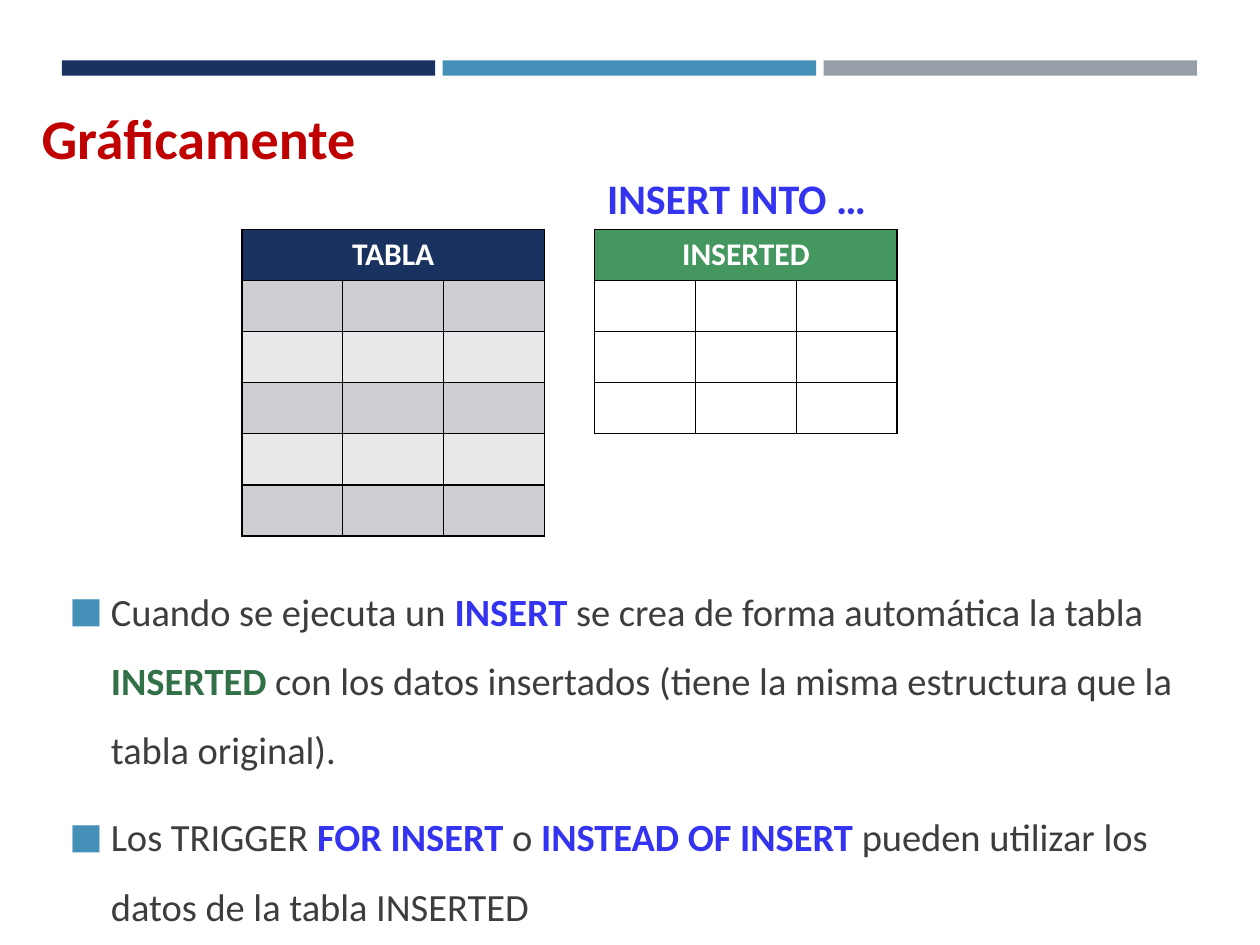
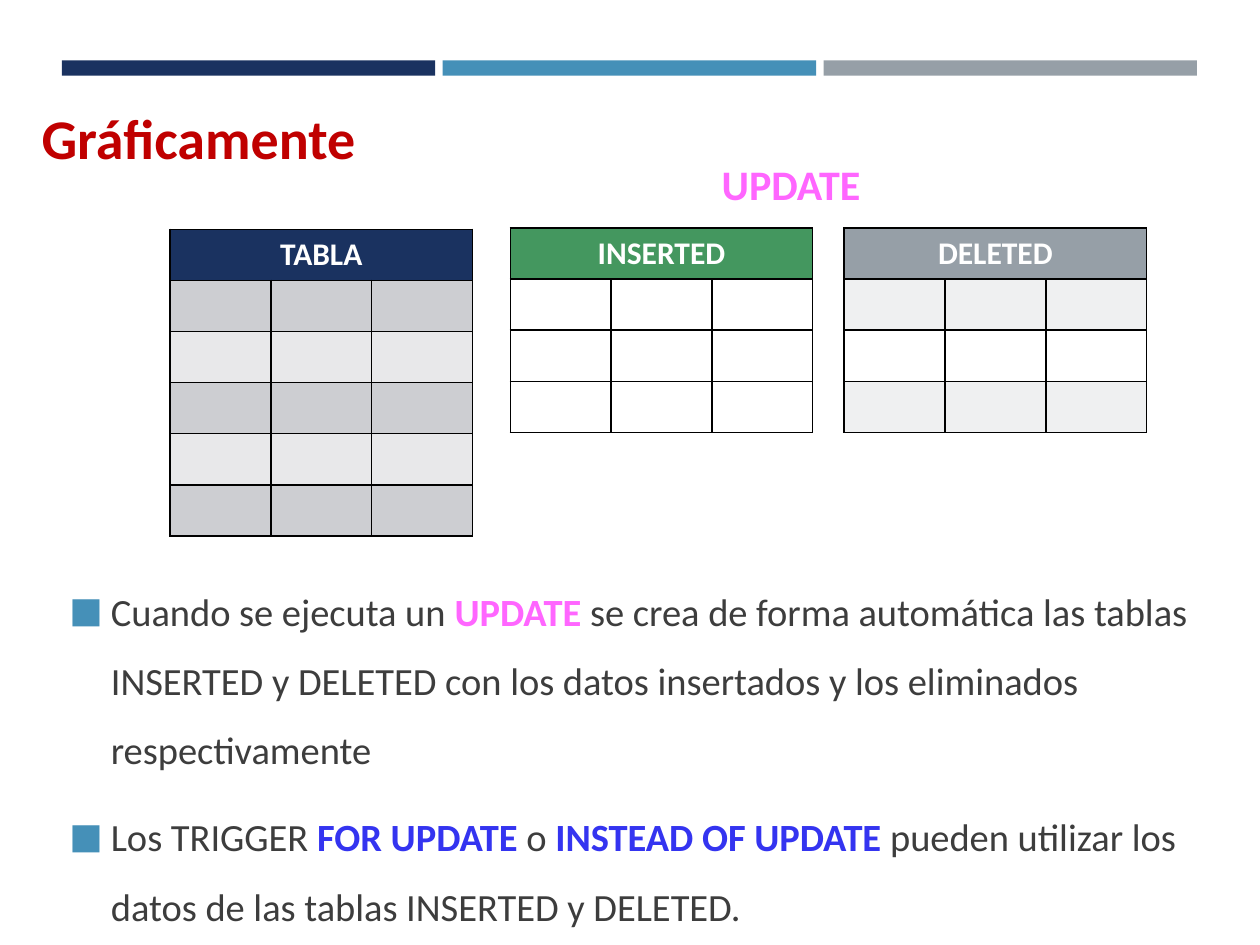
from lxml import etree
from pptx import Presentation
from pptx.dml.color import RGBColor
from pptx.enum.shapes import MSO_SHAPE
from pptx.enum.text import MSO_ANCHOR, MSO_AUTO_SIZE, PP_ALIGN
from pptx.oxml.ns import qn
from pptx.util import Emu, Inches, Pt

RECT = MSO_SHAPE.RECTANGLE
TOP, MIDDLE = MSO_ANCHOR.TOP, MSO_ANCHOR.MIDDLE
LEFT, CENTER = PP_ALIGN.LEFT, PP_ALIGN.CENTER
NO_FIT = MSO_AUTO_SIZE.NONE

# The slide is a grid of 100 columns by 75 rows
SLIDE_W, SLIDE_H = Inches(10), Inches(7.5)
COLUMN, ROW = SLIDE_W / 100, SLIDE_H / 75

FONT = "Calibri"
COLORS = {
    "navy": "1A3260", "blue": "4590B8", "grey": "969FA7",
    "green": "44975F", "white": "FFFFFF", "black": "000000",
    "navy_band": "CDCED2", "navy_light": "E8E8EA", "grey_band": "EFF0F1",
    "title": "C00000", "text": "3D3D3D", "keyword": "3434F0",
    "inserted": "327047", "update": "FF66FF",
}

# Regions as (column, row, columns, rows)
BANDS_BOX = (4.9, 4.8, 90.1, 1.2)
TITLE_BOX = (2.3, 7.7, 30.9, 6.4)
BODY_BOX = (4.5, 44.3, 92.5, 30.7)
BAND_GAP = 0.6
CELL_COLUMNS, CELL_ROWS = 8, 4.05

# Each kind of table: header colour, alternating row colours, number of data rows
TABLES = {
    "TABLA": ("navy", ("navy_band", "navy_light"), 5),
    "INSERTED": ("green", ("white", "white"), 3),
    "DELETED": ("grey", ("grey_band", "white"), 3),
}

SLIDES = [
    {
        "title": "Gráficamente",
        "statement": ("INSERT INTO …", "keyword", (47.2, 13.2, 29, 5)),
        "tables": [("TABLA", 19.2, 18.2), ("INSERTED", 47.2, 18.2)],
        "points": [
            [("Cuando se ejecuta un ", "text"), ("INSERT", "keyword"),
             (" se crea de forma automática la tabla ", "text"),
             ("INSERTED", "inserted"),
             (" con los datos insertados (tiene la misma estructura que la "
              "tabla original).", "text")],
            [("Los TRIGGER ", "text"), ("FOR INSERT ", "keyword"),
             ("o ", "text"), ("INSTEAD OF INSERT ", "keyword"),
             ("pueden utilizar los datos de la tabla INSERTED", "text")],
        ],
    },
    {
        "title": "Gráficamente",
        "statement": ("UPDATE", "update", (56.3, 12.1, 16.3, 5)),
        "tables": [("TABLA", 13.5, 18.2), ("INSERTED", 40.5, 18.1),
                   ("DELETED", 67, 18.1)],
        "points": [
            [("Cuando se ejecuta un ", "text"), ("UPDATE", "update"),
             (" se crea de forma automática las tablas INSERTED y DELETED "
              "con los datos insertados y los eliminados respectivamente",
              "text")],
            [("Los TRIGGER ", "text"), ("FOR UPDATE ", "keyword"),
             ("o ", "text"), ("INSTEAD OF UPDATE ", "keyword"),
             ("pueden utilizar los datos de las tablas INSERTED y DELETED.",
              "text")],
        ],
    },
]


def rgb(color):
    return RGBColor.from_string(COLORS[color])


def to_emu(box):
    return [Emu(round(length * unit))
            for length, unit in zip(box, (COLUMN, ROW, COLUMN, ROW))]


def set_all(target, values):
    for attribute, value in values.items():
        setattr(target, attribute, value)


def place(shape, box):
    set_all(shape, dict(zip(("left", "top", "width", "height"), to_emu(box))))


def fill(target, color):
    target.fill.solid()
    target.fill.fore_color.rgb = rgb(color)


def write(paragraph, text, color, size, bold):
    run = paragraph.add_run()
    run.text = text
    set_all(run.font, {"name": FONT, "size": Pt(size), "bold": bold})
    run.font.color.rgb = rgb(color)


def prepare_frame(frame):
    set_all(frame, {"word_wrap": True, "auto_size": NO_FIT,
                    "vertical_anchor": TOP})


def add_bands(slide, box):
    """Three equal colour bands across the top."""
    left, top, width, height = box
    band_width = (width - 2 * BAND_GAP) / 3
    for index, color in enumerate(("navy", "blue", "grey")):
        band_box = (left + index * (band_width + BAND_GAP), top,
                    band_width, height)
        band = slide.shapes.add_shape(RECT, *to_emu(band_box))
        band.shadow.inherit = False
        fill(band, color)
        band.line.fill.background()


def add_heading(shape, box, text, color, size):
    """One bold line, for the title and for the SQL statement."""
    place(shape, box)
    prepare_frame(shape.text_frame)
    heading = shape.text_frame.paragraphs[0]
    heading.alignment = LEFT
    write(heading, text, color, size, True)


def add_bullet(paragraph):
    properties = paragraph._p.get_or_add_pPr()
    set_indent = {"marL": Inches(0.33), "indent": -Inches(0.33)}
    for name, value in set_indent.items():
        properties.set(name, str(value))
    bullet_color = etree.SubElement(properties, qn("a:buClr"))
    etree.SubElement(bullet_color, qn("a:srgbClr"), val=COLORS["blue"])
    etree.SubElement(properties, qn("a:buSzPct"), val="92000")
    etree.SubElement(properties, qn("a:buFont"), typeface=FONT)
    etree.SubElement(properties, qn("a:buChar"), char="■")


def add_points(body, box, points):
    """Bulleted explanation with highlighted keywords."""
    place(body, box)
    frame = body.text_frame
    prepare_frame(frame)
    for index, runs in enumerate(points):
        point = frame.add_paragraph() if index else frame.paragraphs[0]
        set_all(point, {"alignment": LEFT, "line_spacing": 1.5,
                        "space_before": Pt(4.4), "space_after": Pt(6)})
        add_bullet(point)
        for text, color in runs:
            write(point, text, color, 22, color != "text")


def add_borders(cell):
    properties = cell._tc.get_or_add_tcPr()
    for side in ("a:lnL", "a:lnR", "a:lnT", "a:lnB"):
        border = etree.SubElement(properties, qn(side), w=str(Pt(1)))
        border_fill = etree.SubElement(border, qn("a:solidFill"))
        etree.SubElement(border_fill, qn("a:srgbClr"), val=COLORS["black"])


def add_data_table(slide, name, left, top):
    """Three-column table under one merged header."""
    header_color, band_colors, data_rows = TABLES[name]
    rows, columns = data_rows + 1, 3
    box = (left, top, columns * CELL_COLUMNS, rows * CELL_ROWS)
    table = slide.shapes.add_table(rows, columns, *to_emu(box)).table
    for row in range(rows):
        color = band_colors[(row - 1) % 2] if row else header_color
        for column in range(columns):
            cell = table.cell(row, column)
            add_borders(cell)
            fill(cell, color)
    header = table.cell(0, 0)
    header.merge(table.cell(0, columns - 1))
    header.vertical_anchor = TOP
    label = header.text_frame.paragraphs[0]
    label.alignment = CENTER
    write(label, name, "white", 18, True)


def build_slide(presentation, content):
    slide = presentation.slides.add_slide(presentation.slide_layouts[1])
    add_bands(slide, BANDS_BOX)
    add_heading(slide.shapes.title, TITLE_BOX, content["title"], "title", 32)
    for name, left, top in content["tables"]:
        add_data_table(slide, name, left, top)
    text, color, box = content["statement"]
    statement = slide.shapes.add_textbox(*to_emu(box))
    add_heading(statement, box, text, color, 24)
    add_points(slide.placeholders[1], BODY_BOX, content["points"])


def main():
    presentation = Presentation()
    set_all(presentation, {"slide_width": SLIDE_W, "slide_height": SLIDE_H})
    for content in SLIDES:
        build_slide(presentation, content)
    presentation.save("out.pptx")


if __name__ == "__main__":
    main()
